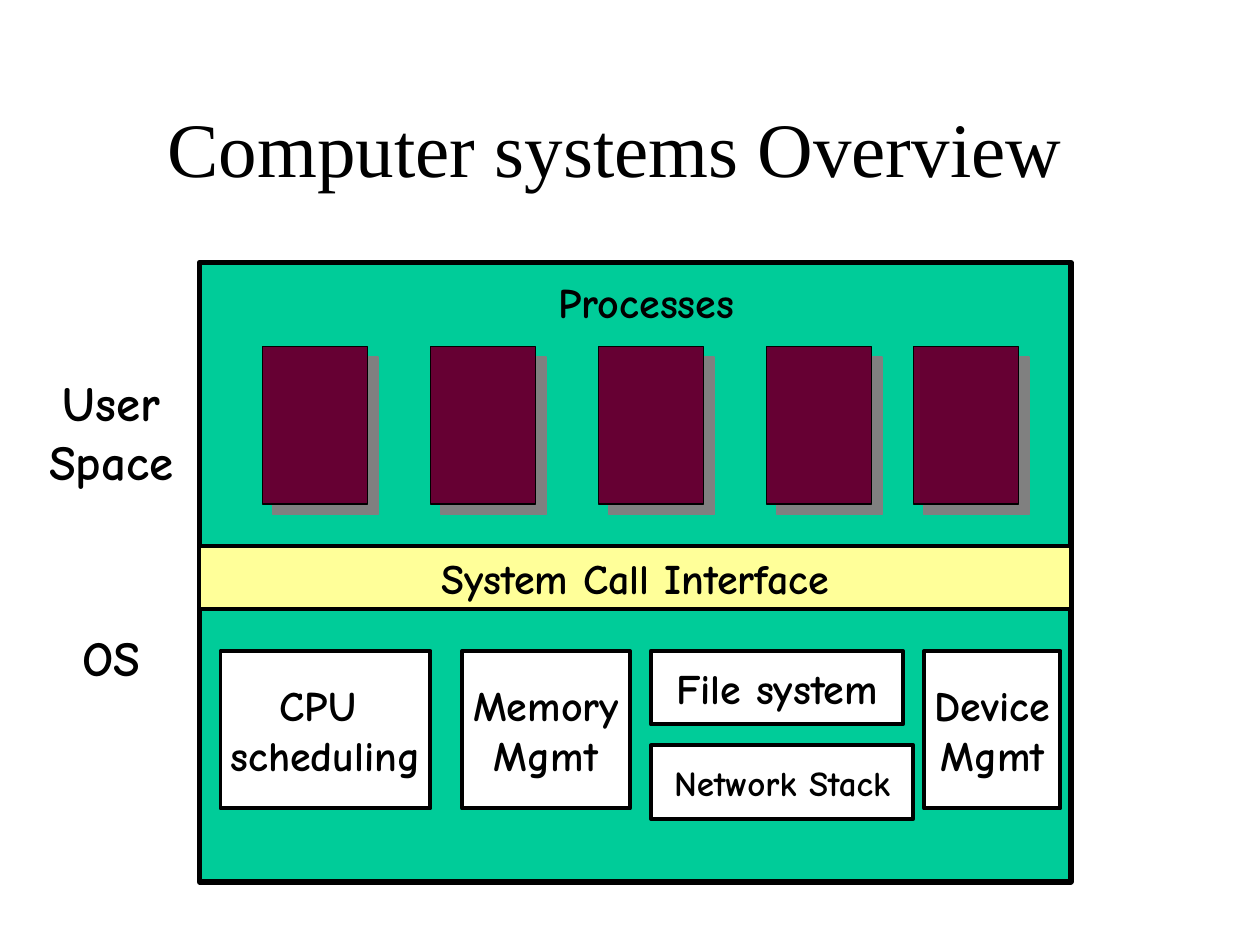
import dataclasses

import lxml.etree
import pptx
import pptx.dml.color
import pptx.enum.shapes
import pptx.enum.text
import pptx.oxml.ns
import pptx.util


@dataclasses.dataclass(frozen=True)
class Theme:
    ink: str = "000000"
    panel: str = "00CC99"
    process: str = "660033"
    interface: str = "FFFF99"
    module: str = "FFFFFF"
    shadow: str = "808080"
    title_font: str = "Times New Roman"
    label_font: str = "Comic Neue"
    title_size: int = 44
    side_size: int = 28
    label_size: int = 24
    small_size: int = 20
    frame_line: float = 3
    box_line: float = 2.25
    thin_line: float = 0.75


class SlideBuilder:
    columns = 120
    rows = 90

    def __init__(self, presentation, theme):
        self.theme = theme
        self.column = presentation.slide_width / self.columns
        self.row = presentation.slide_height / self.rows
        self.slide = presentation.slides.add_slide(presentation.slide_layouts[5])

    def area(self, left, top, width, height):
        return (round(left * self.column), round(top * self.row),
                round(width * self.column), round(height * self.row))

    def color(self, value):
        return pptx.dml.color.RGBColor.from_string(value)

    def set_text(self, shape, text, size, font, bold=True, wrap=False,
                 align=pptx.enum.text.PP_ALIGN.CENTER):
        frame = shape.text_frame
        frame.text = text
        frame.word_wrap = wrap
        frame.vertical_anchor = pptx.enum.text.MSO_ANCHOR.MIDDLE
        for paragraph in frame.paragraphs:
            paragraph.alignment = align
            for run in paragraph.runs:
                run.font.size = pptx.util.Pt(size)
                run.font.name = font
                run.font.bold = bold
                run.font.color.rgb = self.color(self.theme.ink)

    def title(self, text, *area):
        shape = self.slide.shapes.title
        shape.left, shape.top, shape.width, shape.height = self.area(*area)
        self.set_text(shape, text, self.theme.title_size, self.theme.title_font,
                      bold=False, wrap=True)
        shape.text_frame.auto_size = pptx.enum.text.MSO_AUTO_SIZE.NONE

    def label(self, text, size, *area, align=pptx.enum.text.PP_ALIGN.CENTER):
        shape = self.slide.shapes.add_textbox(*self.area(*area))
        self.set_text(shape, text, size, self.theme.label_font, align=align)
        shape.text_frame.vertical_anchor = pptx.enum.text.MSO_ANCHOR.TOP
        shape.text_frame.auto_size = pptx.enum.text.MSO_AUTO_SIZE.SHAPE_TO_FIT_TEXT

    def box(self, fill, line, *area, text=None, size=None):
        shape = self.slide.shapes.add_shape(
            pptx.enum.shapes.MSO_SHAPE.RECTANGLE, *self.area(*area))
        shape.shadow.inherit = False
        shape.fill.solid()
        shape.fill.fore_color.rgb = self.color(fill)
        shape.line.color.rgb = self.color(self.theme.ink)
        shape.line.width = pptx.util.Pt(line)
        if text:
            self.set_text(shape, text, size or self.theme.label_size,
                          self.theme.label_font)
        return shape

    def process(self, *area):
        shape = self.box(self.theme.process, self.theme.thin_line, *area)
        name = pptx.oxml.ns.qn
        effects = shape.element.spPr.find(name("a:effectLst"))
        shadow = lxml.etree.SubElement(
            effects, name("a:outerShdw"), dist=str(pptx.util.Pt(8.5)),
            dir="2700000", algn="ctr", rotWithShape="0")
        lxml.etree.SubElement(shadow, name("a:srgbClr"), val=self.theme.shadow)


def main():
    presentation = pptx.Presentation()
    presentation.slide_width = pptx.util.Inches(10)
    presentation.slide_height = pptx.util.Inches(7.5)
    theme = Theme()
    builder = SlideBuilder(presentation, theme)
    left = pptx.enum.text.PP_ALIGN.LEFT

    builder.title("Computer systems Overview ", 9, 8, 101, 12)
    builder.box(theme.panel, theme.frame_line, 19, 25, 83, 59)
    builder.label("User\nSpace", theme.side_size, 3.5, 34.9, 14.2, 12.5)
    builder.label("OS", theme.side_size, 6.7, 59.2, 8, 6.8, align=left)

    for column in (25, 41, 57, 73, 87):
        builder.process(column, 33, 10, 15)

    modules = (
        ("CPU \nscheduling", theme.label_size, 21, 62, 20, 15),
        ("Memory\nMgmt", theme.label_size, 44, 62, 16, 15),
        ("File system", theme.label_size, 62, 62, 24, 7),
        ("Device\nMgmt", theme.label_size, 88, 62, 13, 15),
        ("Network Stack", theme.small_size, 62, 71, 25, 7),
    )
    for text, size, *area in modules:
        builder.box(theme.module, theme.box_line, *area, text=text, size=size)

    builder.label("Processes", theme.label_size, 52, 25.7, 19.2, 6, align=left)
    builder.box(theme.interface, theme.box_line, 19, 52, 83, 6,
                text="System Call Interface")
    presentation.save("out.pptx")


if __name__ == "__main__":
    main()
